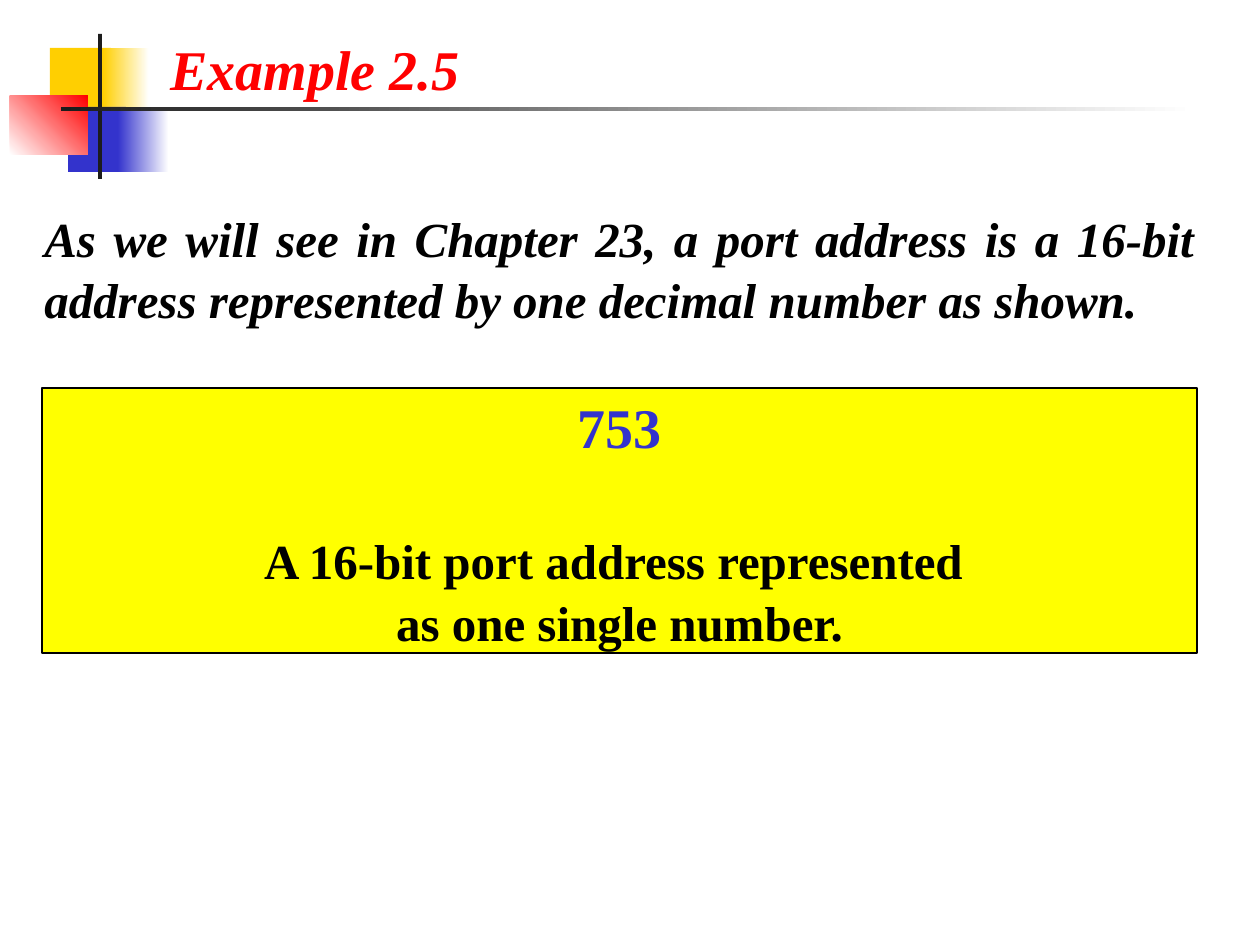
from pptx import Presentation
from pptx.dml.color import RGBColor
from pptx.enum.shapes import MSO_SHAPE
from pptx.enum.text import PP_ALIGN
from pptx.util import Pt

EMU_PER_PX = 914400 // 126
FONT = "Times New Roman"
LINE_SPACING = 1.05
COLORS = {
    "yellow": "FFCF01", "blue": "3333CC", "red": "FF0000", "dark": "1C1C1C",
    "white": "FFFFFF", "black": "000000", "panel": "FFFF00",
}

# left, top, width, height in px; colours (two make a gradient); gradient angle
DECORATIONS = [
    ((50, 48, 61, 65), ["yellow"], 0),
    ((103, 48, 46, 65), ["yellow", "white"], 0),
    ((68, 107, 58, 65), ["blue"], 0),
    ((118, 107, 51, 65), ["blue", "white"], 0),
    ((10, 96, 78, 59), ["white", "red"], 45),
    ((98, 34, 4, 145), ["dark"], 0),
    ((61, 107, 1134, 4), ["dark", "white"], 0),
]

TITLE_BOX = (158, 25, 315, 81)
BODY_BOX = (32, 199, 1175, 131)
PANEL_BOX = (42, 388, 1155, 265)

# text, size, colour, italic, alignment, space before
TITLE = [("Example 2.5", 32, "red", True, PP_ALIGN.LEFT, 0)]
BODY = [("As we will see in Chapter 23, a port address is a 16-bit address "
         "represented by one decimal number as shown.",
         28, "black", True, PP_ALIGN.JUSTIFY, 0)]
PANEL = [
    ("753", 32, "blue", False, PP_ALIGN.CENTER, 0),
    ("A 16-bit port address represented \vas one single number.",
     28, "black", False, PP_ALIGN.CENTER, 39),
]


def color(name):
    return RGBColor.from_string(COLORS[name])


def emu(box):
    return [px * EMU_PER_PX for px in box]


def add_rectangle(slide, box, fill_colors, angle=0):
    shape = slide.shapes.add_shape(MSO_SHAPE.RECTANGLE, *emu(box))
    shape.shadow.inherit = False
    shape.line.fill.background()
    if len(fill_colors) == 1:
        shape.fill.solid()
        shape.fill.fore_color.rgb = color(fill_colors[0])
    else:
        shape.fill.gradient()
        shape.fill.gradient_angle = angle
        for stop, name in zip(shape.fill.gradient_stops, fill_colors):
            stop.color.rgb = color(name)
    return shape


def write(text_frame, paragraphs, wrap=True):
    text_frame.word_wrap = wrap
    text_frame.text = "\n".join(text for text, *_ in paragraphs)
    for paragraph, (_, size, name, italic, alignment, before) in zip(
            text_frame.paragraphs, paragraphs):
        paragraph.alignment = alignment
        paragraph.line_spacing = LINE_SPACING
        if before:
            paragraph.space_before = Pt(before)
        for run in paragraph.runs:
            run.font.name = FONT
            run.font.size = Pt(size)
            run.font.bold = True
            run.font.italic = italic
            run.font.color.rgb = color(name)


presentation = Presentation()
presentation.slide_width, presentation.slide_height = emu((1260, 945))
slide = presentation.slides.add_slide(presentation.slide_layouts[6])

for box, fill_colors, angle in DECORATIONS:
    add_rectangle(slide, box, fill_colors, angle)

write(slide.shapes.add_textbox(*emu(TITLE_BOX)).text_frame, TITLE, wrap=False)
write(slide.shapes.add_textbox(*emu(BODY_BOX)).text_frame, BODY)

panel = add_rectangle(slide, PANEL_BOX, ["panel"])
panel.line.color.rgb = color("black")
panel.line.width = Pt(0.75)
write(panel.text_frame, PANEL)

presentation.save("out.pptx")
